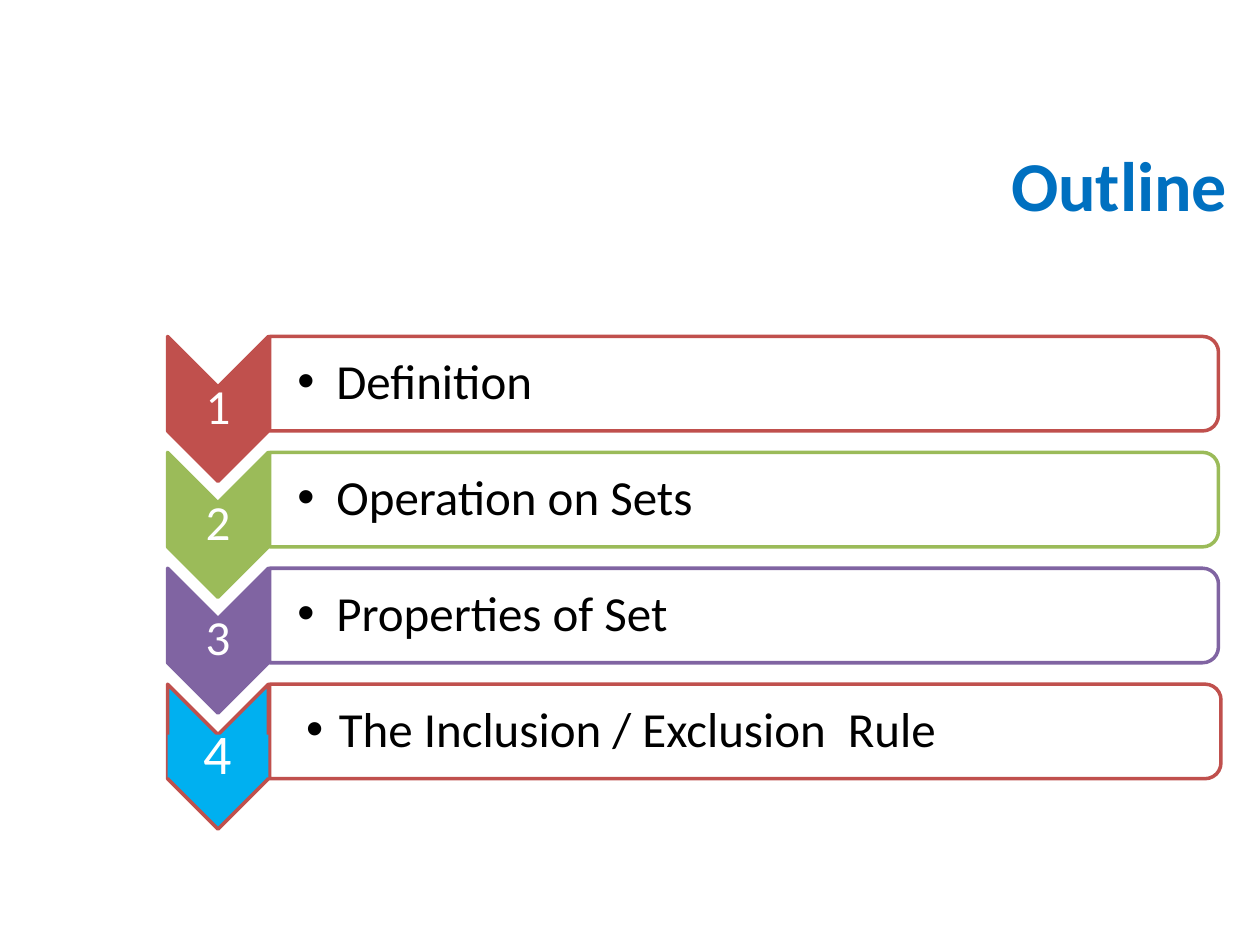
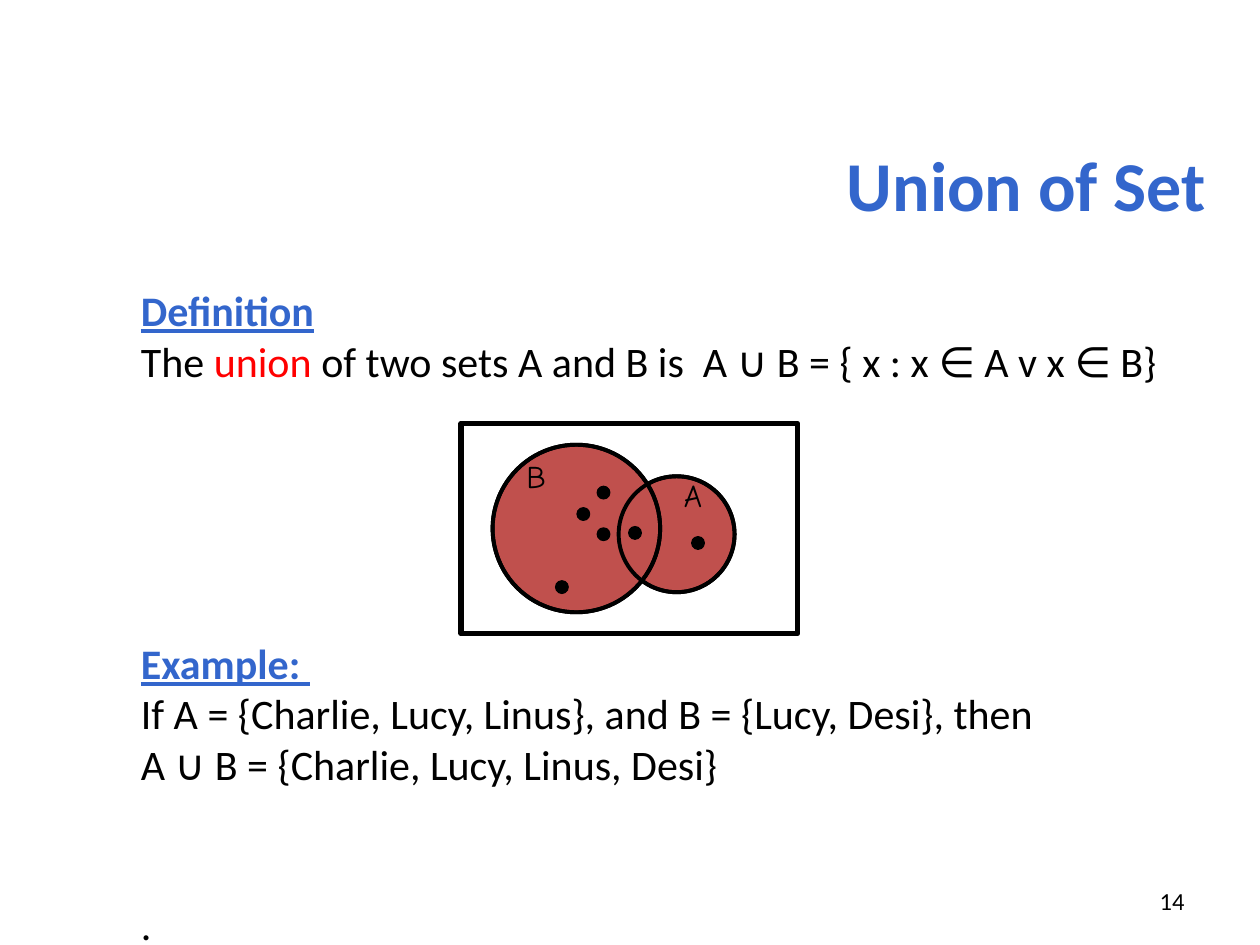
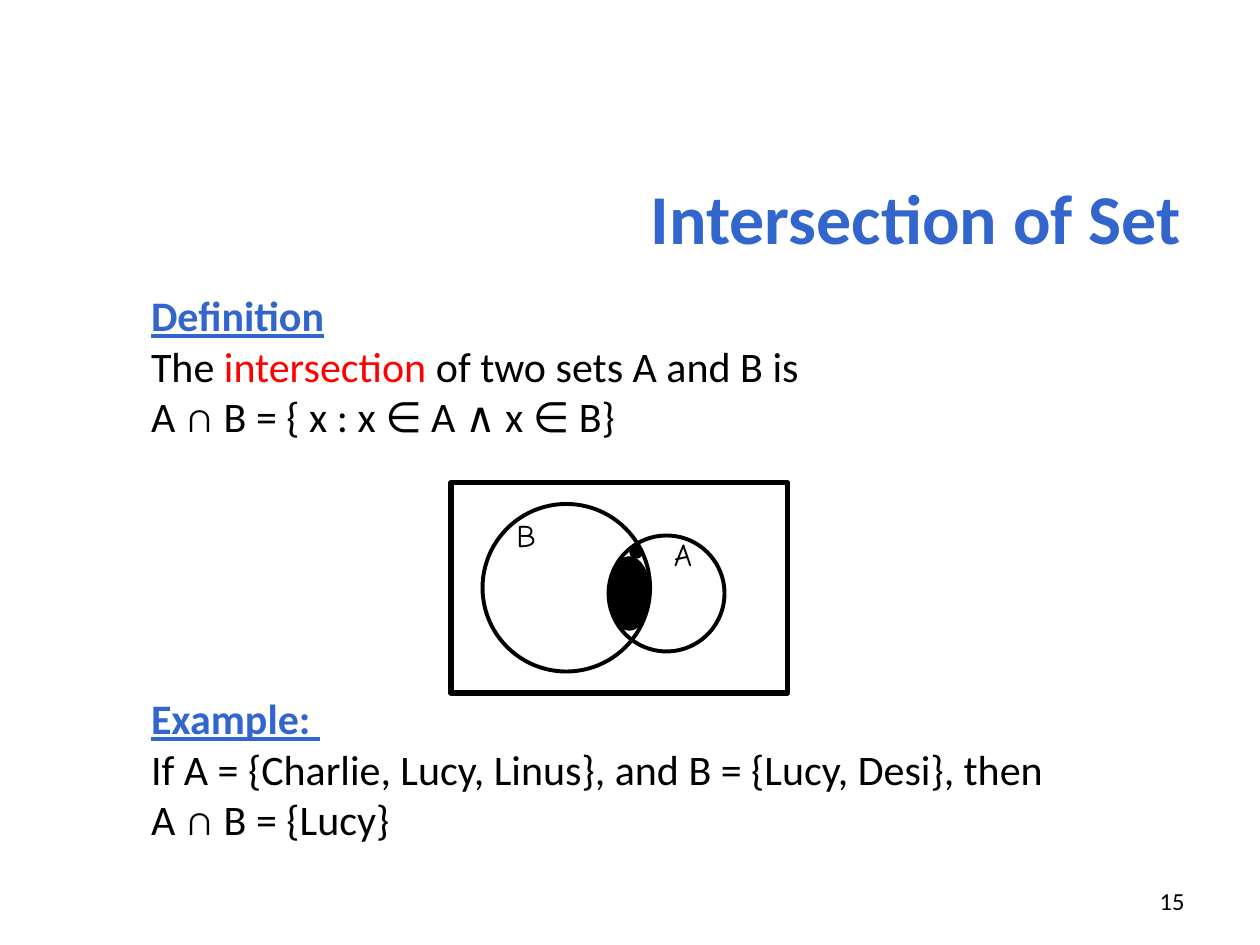
"""Build three slides on set theory: outline, union and intersection."""
from dataclasses import dataclass

from lxml.etree import SubElement
from pptx import Presentation
from pptx.dml.color import RGBColor
from pptx.enum.shapes import MSO_SHAPE
from pptx.enum.text import MSO_ANCHOR, MSO_AUTO_SIZE, PP_ALIGN
from pptx.oxml.ns import qn
from pptx.util import Pt

EMU_PER_PX = 9144
BODY_FONT, LABEL_FONT = "Calibri", "Comic Neue"
BLACK, WHITE, RED = "000000", "FFFFFF", "FF0000"
HEADING_BLUE, OUTLINE_BLUE, SKY = "3366CC", "0070C0", "00B0F0"
BRICK, GREEN, PURPLE = "C0504D", "9BBB59", "8064A2"
TITLE_ONLY = 5
ROW_PITCH = 92
DOT = 10
SET_B, SET_A = (25, 17, 133), (125, 42, 92)


@dataclass(frozen=True)
class Topic:
    """One row of the outline."""
    text: str
    line: str
    fill: str
    number_size: int = 28
    card_length: int = 753
    text_left: int = 214
    hang: int = 31


@dataclass(frozen=True)
class Line:
    """One line of an explanation, with an optional red keyword."""
    text: str
    heading: bool = False
    gap: int = 0
    keyword: str = ""


@dataclass(frozen=True)
class Venn:
    """A two-set diagram; its marks are placed relative to its frame."""
    left: int
    top: int
    fill: str | None
    marks: tuple[tuple[int, int, int, int], ...]


@dataclass(frozen=True)
class Operation:
    """A slide that explains one set operation."""
    title: str
    title_at: tuple[int, int, int, int]
    number: int
    body_at: tuple[int, int, int, int]
    lines: tuple[Line, ...]
    venn: Venn


def dots(*places: tuple[int, int]) -> tuple[tuple[int, int, int, int], ...]:
    """Turn places into boxes of dot size."""
    return tuple((x, y, DOT, DOT) for x, y in places)


TOPICS = (
    Topic("Definition", BRICK, BRICK),
    Topic("Operation on Sets", GREEN, GREEN),
    Topic("Properties of Set", PURPLE, PURPLE),
    Topic("The Inclusion / Exclusion  Rule", BRICK, SKY, 32, 755, 221, 26),
)
EXAMPLE = (
    Line("Example: ", heading=True, gap=144),
    Line("If A = {Charlie, Lucy, Linus}, and B = {Lucy, Desi}, then"),
)
OPERATIONS = (
    Operation(
        "Union of Set", (67, 83, 900, 125), 14, (102, 221, 890, 525),
        (Line("Definition", heading=True),
         Line("The union of two sets A and B is  A ∪ B = { x : x ∈ A v x ∈ B}", keyword="union"),
         *EXAMPLE,
         Line("A ∪ B = {Charlie, Lucy, Linus, Desi}"),
         Line(".", gap=63)),
        Venn(366, 336, BRICK,
             dots((92, 67), (108, 83), (75, 125), (108, 50), (183, 90), (133, 82)))),
    Operation(
        "Intersection of Set", (47, 109, 900, 125), 15, (110, 225, 882, 467),
        (Line("Definition", heading=True),
         Line("The intersection of two sets A and B is", keyword="intersection"),
         Line("A ∩ B = { x : x ∈ A ∧ x ∈ B}"),
         *EXAMPLE,
         Line("A ∩ B = {Lucy}")),
        Venn(358, 383, None,
             ((125, 59, 33, 58),
              *dots((142, 84), (134, 100), (142, 50), (134, 67), (134, 82))))),
)


def px(length: float) -> int:
    """Convert px to EMU."""
    return round(length * EMU_PER_PX)


def rgb(color: str) -> RGBColor:
    """Convert a hex string to a colour."""
    return RGBColor.from_string(color)


def style(paragraph, size: int, color: str, bold: bool = False, font: str = BODY_FONT) -> None:
    """Set the font of a whole paragraph."""
    paragraph.font.name = font
    paragraph.font.size = Pt(size)
    paragraph.font.bold = bold
    paragraph.font.color.rgb = rgb(color)


def add_shape(slide, kind, box, fill: str | None, line: str, width: float, rotation: int = 0):
    """Draw a preset shape."""
    shape = slide.shapes.add_shape(kind, *map(px, box))
    shape.shadow.inherit = False
    shape.rotation = rotation
    if fill:
        shape.fill.solid()
        shape.fill.fore_color.rgb = rgb(fill)
    else:
        shape.fill.background()
    shape.line.color.rgb = rgb(line)
    shape.line.width = Pt(width)
    return shape


def add_turned(slide, kind, box, fill: str, line: str) -> None:
    """Draw a shape turned a quarter so that it covers the given box."""
    left, top, width, height = box
    middle_x, middle_y = left + width / 2, top + height / 2
    add_shape(slide, kind, (middle_x - height / 2, middle_y - width / 2, height, width),
              fill, line, 2, 90)


def add_box(slide, box, anchor=MSO_ANCHOR.TOP, margins=(10, 5, 10, 5)):
    """Add a wrapping text box."""
    text_box = slide.shapes.add_textbox(*map(px, box))
    frame = text_box.text_frame
    frame.word_wrap = True
    frame.vertical_anchor = anchor
    (frame.margin_left, frame.margin_top,
     frame.margin_right, frame.margin_bottom) = map(px, margins)
    return text_box


def set_title(slide, text: str, box, color: str) -> None:
    """Place and format the title placeholder."""
    title = slide.shapes.title
    title.left, title.top, title.width, title.height = map(px, box)
    frame = title.text_frame
    frame.text = text
    frame.vertical_anchor = MSO_ANCHOR.MIDDLE
    frame.auto_size = MSO_AUTO_SIZE.NONE
    frame.paragraphs[0].alignment = PP_ALIGN.RIGHT
    style(frame.paragraphs[0], 40, color, bold=True)


def add_bullet(paragraph, hang: int) -> None:
    """Give a paragraph a hanging bullet."""
    properties = paragraph._p.get_or_add_pPr()
    properties.set("marL", str(px(hang)))
    properties.set("indent", str(-px(hang)))
    SubElement(properties, qn("a:buFont"), typeface="Arial")
    SubElement(properties, qn("a:buChar"), char="•")


def add_topic(slide, index: int, topic: Topic) -> None:
    """Draw a numbered chevron and its card."""
    top = 267 + index * ROW_PITCH
    add_turned(slide, MSO_SHAPE.CHEVRON, (133, top, 80, 115), topic.fill, topic.line)
    add_turned(slide, MSO_SHAPE.ROUND_2_SAME_RECTANGLE, (214, top, topic.card_length, 75),
               WHITE, topic.line)

    badge = add_box(slide, (133, top + 40, 80, 34), MSO_ANCHOR.MIDDLE, (2, 2, 2, 2))
    badge.fill.solid()
    badge.fill.fore_color.rgb = rgb(topic.fill)
    number = badge.text_frame.paragraphs[0]
    number.text = str(index + 1)
    number.alignment = PP_ALIGN.CENTER
    number.line_spacing = 0.9
    style(number, topic.number_size, WHITE)

    card = add_box(slide, (topic.text_left, top + 4, 745, 67), MSO_ANCHOR.MIDDLE, (22, 2, 2, 2))
    caption = card.text_frame.paragraphs[0]
    caption.text = topic.text
    caption.line_spacing = 0.9
    add_bullet(caption, topic.hang)
    style(caption, 28, BLACK)


def add_explanation(slide, box, lines: tuple[Line, ...]) -> None:
    """Write the definition and the example."""
    frame = add_box(slide, box).text_frame
    for index, line in enumerate(lines):
        paragraph = frame.add_paragraph() if index else frame.paragraphs[0]
        if line.gap:
            paragraph.space_before = Pt(line.gap)
        style(paragraph, 24, HEADING_BLUE if line.heading else BLACK, line.heading)
        paragraph.font.underline = line.heading
        parts = line.text.partition(line.keyword) if line.keyword else (line.text,)
        for part in parts:
            run = paragraph.add_run()
            run.text = part
            if part == line.keyword:
                run.font.color.rgb = rgb(RED)


def add_venn(slide, venn: Venn) -> None:
    """Draw the frame, both sets, their marks and their labels."""
    def place(x: int, y: int, width: int, height: int) -> tuple[int, int, int, int]:
        """Move a box from the frame to the slide."""
        return venn.left + x, venn.top + y, width, height

    add_shape(slide, MSO_SHAPE.RECTANGLE, place(0, 0, 267, 167), None, BLACK, 3)
    for fill in (venn.fill, None) if venn.fill else (None,):
        for x, y, diameter in (SET_A, SET_B):
            add_shape(slide, MSO_SHAPE.OVAL, place(x, y, diameter, diameter), fill, BLACK, 2.25)
    for mark in venn.marks:
        add_shape(slide, MSO_SHAPE.OVAL, place(*mark), BLACK, BLACK, 0.75)
    for name, box in (("A", (167, 40, 42, 50)), ("B", (42, 25, 50, 58))):
        label = add_box(slide, place(*box)).text_frame.paragraphs[0]
        label.text = name
        label.line_spacing = 0.9
        style(label, 18, BLACK, font=LABEL_FONT)


def add_page_number(slide, number: int) -> None:
    """Write the page number at the lower right."""
    page = add_box(slide, (717, 695, 233, 40), MSO_ANCHOR.MIDDLE).text_frame.paragraphs[0]
    page.text = str(number)
    page.alignment = PP_ALIGN.RIGHT
    style(page, 14, BLACK)


def main() -> None:
    """Build and save the presentation."""
    presentation = Presentation()
    presentation.slide_width, presentation.slide_height = px(1000), px(750)
    layout = presentation.slide_layouts[TITLE_ONLY]

    outline = presentation.slides.add_slide(layout)
    set_title(outline, "Outline", (367, 83, 617, 125), OUTLINE_BLUE)
    for index, topic in enumerate(TOPICS):
        add_topic(outline, index, topic)

    for operation in OPERATIONS:
        slide = presentation.slides.add_slide(layout)
        set_title(slide, operation.title, operation.title_at, HEADING_BLUE)
        add_explanation(slide, operation.body_at, operation.lines)
        add_venn(slide, operation.venn)
        add_page_number(slide, operation.number)

    presentation.save("out.pptx")


if __name__ == "__main__":
    main()
